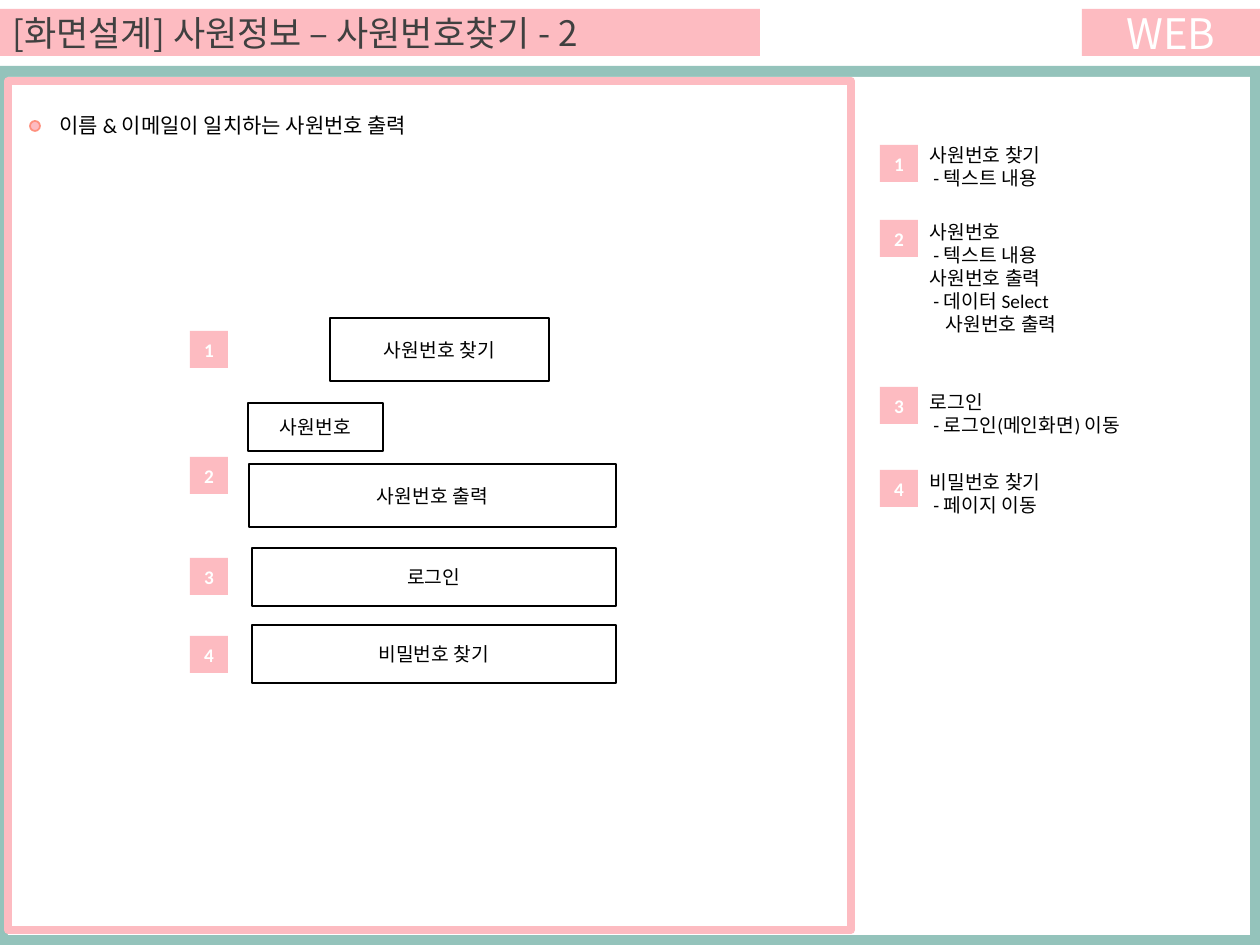
"""Build the screen design slide for the employee number search page."""
import pptx
import pptx.util
import pptx.dml.color
import pptx.enum.shapes
import pptx.enum.text

THEME = dict(
    pink="FDBBC1", teal="94C3BB", coral="FE907E", white="FFFFFF", black="000000", grey="404040",
    body="Calibri", head="Noto Sans CJK KR", title=20, tag=24, lead=12, text=11,
)
TITLE = "[화면설계] 사원정보 – 사원번호찾기 - 2"
TAG = "WEB"
LEAD = "이름 & 이메일이 일치하는 사원번호 출력"
MARKS = [("1", 331), ("2", 457), ("3", 558), ("4", 636)]
FIELDS = [
    ("사원번호 찾기", 330, 318, 219, 63),
    ("사원번호", 248, 403, 135, 48),
    ("사원번호 출력", 249, 464, 367, 63),
    ("로그인", 252, 548, 364, 58),
    ("비밀번호 찾기", 252, 625, 364, 58),
]
NOTES = [
    ("1", 145, 137, [("사원번호 찾기", 0), ("- 텍스트 내용", 4)]),
    ("2", 220, 214, [("사원번호", 0), ("- 텍스트 내용", 4), ("사원번호 출력", 0),
                     ("- 데이터 Select", 4), ("사원번호 출력", 16)]),
    ("3", 387, 384, [("로그인", 0), ("- 로그인(메인화면) 이동", 4)]),
    ("4", 470, 464, [("비밀번호 찾기", 0), ("- 페이지 이동", 4)]),
]
KIND = pptx.enum.shapes.MSO_SHAPE
ALIGN = pptx.enum.text.PP_ALIGN
ANCHOR = pptx.enum.text.MSO_ANCHOR
FIT = pptx.enum.text.MSO_AUTO_SIZE


def px(n):
    return pptx.util.Emu(round(n * 914400 / 126))


def tint(name):
    return pptx.dml.color.RGBColor.from_string(THEME[name])


def write(frame, lines, size="text", color="black", font="body", bold=False, align=ALIGN.LEFT):
    frame.word_wrap = True
    for i, (words, indent) in enumerate(lines):
        para = frame.add_paragraph() if i else frame.paragraphs[0]
        para.alignment = align
        if indent:
            props = para._p.get_or_add_pPr()
            props.set("marL", str(px(indent)))
            props.set("indent", "0")
        run = para.add_run()
        run.text = words
        run.font.size = pptx.util.Pt(THEME[size])
        run.font.bold = bold
        run.font.name = THEME[font]
        run.font.color.rgb = tint(color)
        east = run._r.get_or_add_rPr().makeelement(pptx.oxml.ns.qn("a:ea"), {"typeface": THEME[font]})
        run._r.rPr.append(east)


def block(home, area, fill=None, line=None, width=1, kind=KIND.RECTANGLE):
    shape = home.add_shape(kind, *map(px, area))
    shape.shadow.inherit = False
    if fill:
        shape.fill.solid()
        shape.fill.fore_color.rgb = tint(fill)
    else:
        shape.fill.background()
    if line:
        shape.line.color.rgb = tint(line)
        shape.line.width = pptx.util.Pt(width)
    else:
        shape.line.fill.background()
    return shape


def label(home, area, words, fill="pink", line=None, align=ALIGN.CENTER, **style):
    frame = block(home, area, fill, line).text_frame
    frame.vertical_anchor = ANCHOR.MIDDLE
    write(frame, [(words, 0)], align=align, **style)


def badge(home, left, top, digit):
    label(home, (left, top, 38, 37), digit, color="white", bold=True)


def note(home, area, lines, **style):
    frame = home.add_textbox(*map(px, area)).text_frame
    frame.auto_size = FIT.SHAPE_TO_FIT_TEXT
    write(frame, lines, **style)


def main():
    deck = pptx.Presentation()
    deck.slide_width, deck.slide_height = px(1260), px(945)
    page = deck.slides.add_slide(deck.slide_layouts[6]).shapes

    panel = page.add_group_shape().shapes
    block(panel, (0, 66, 1260, 879), "teal")
    block(panel, (8, 77, 1242, 858), "white")
    block(panel, (8, 81, 843, 849), line="pink", width=4.5)

    block(page, (30, 121, 10, 10), "pink", "coral", kind=KIND.OVAL)
    note(page, (42, 106, 486, 38), [(LEAD, 5)], size="lead")
    for digit, top in MARKS:
        badge(page, 190, top, digit)
    label(page, (1082, 9, 178, 47), TAG, size="tag", color="white", font="head")

    for digit, top, head, lines in NOTES:
        group = page.add_group_shape().shapes
        badge(group, 880, top, digit)
        note(group, (917, head, 334, 12 + 23.5 * len(lines)), lines)

    for words, *area in FIELDS:
        label(page, area, words, fill="white", line="black")
    label(page, (0, 9, 760, 47), TITLE, align=ALIGN.LEFT, size="title", color="grey", font="head")
    deck.save("out.pptx")


if __name__ == "__main__":
    main()
